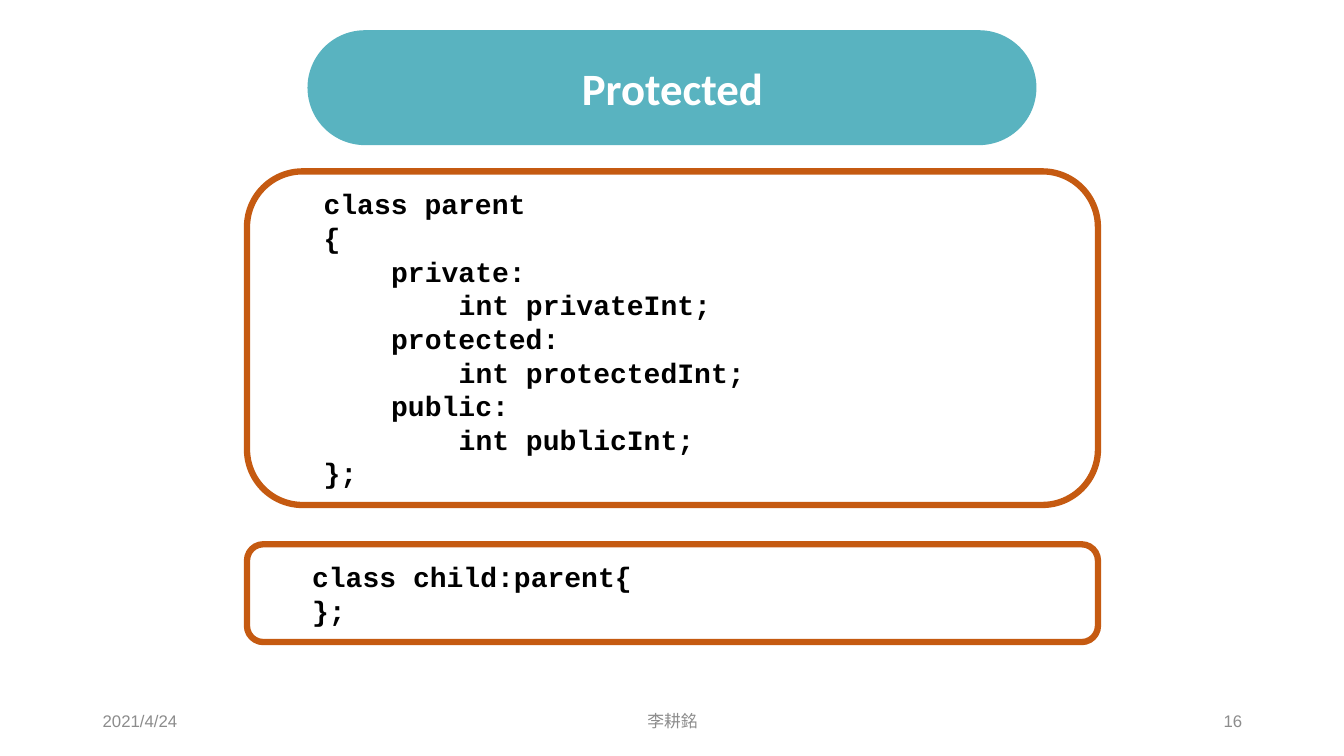
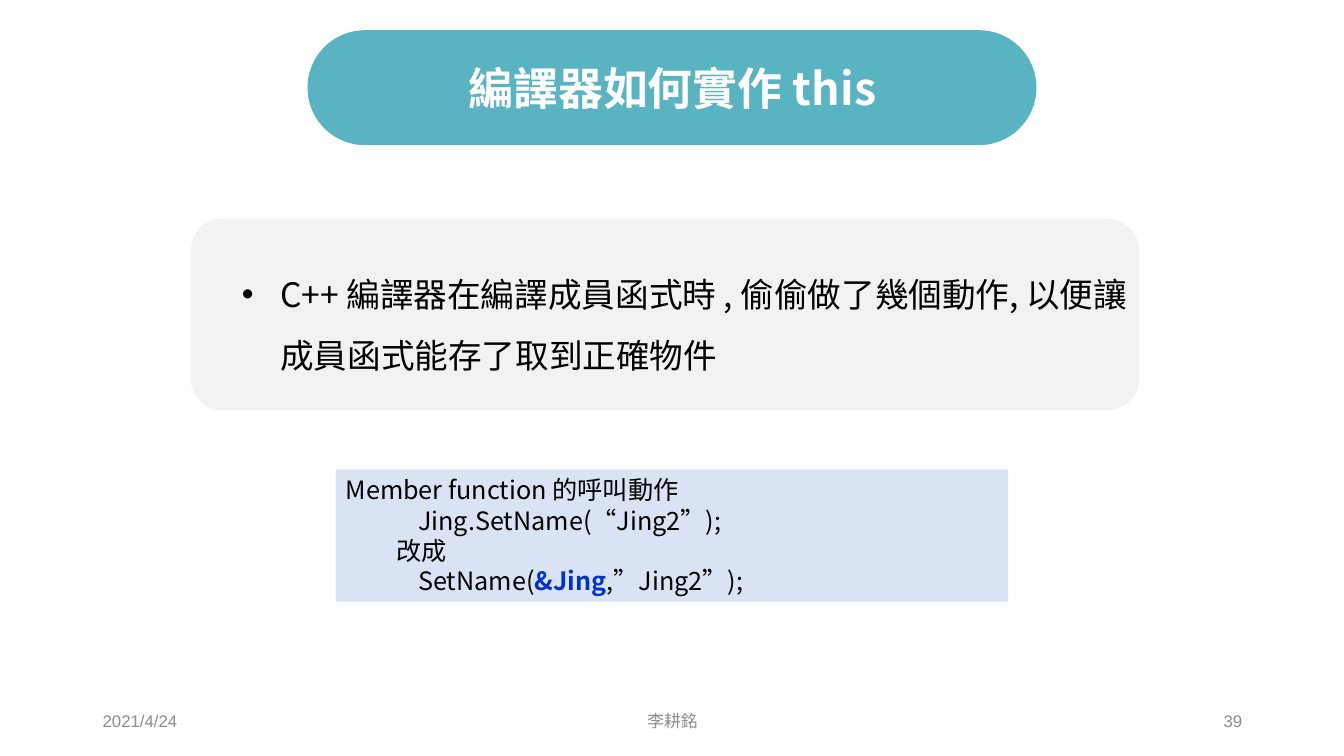
from dataclasses import dataclass

from lxml import etree
from pptx import Presentation
from pptx.dml.color import RGBColor
from pptx.enum.shapes import MSO_SHAPE
from pptx.enum.text import MSO_ANCHOR, MSO_AUTO_SIZE, PP_ALIGN
from pptx.oxml.ns import qn
from pptx.util import Inches, Pt

RECTANGLE, ROUNDED = MSO_SHAPE.RECTANGLE, MSO_SHAPE.ROUNDED_RECTANGLE
LEFT, CENTER, RIGHT = PP_ALIGN.LEFT, PP_ALIGN.CENTER, PP_ALIGN.RIGHT
TOP, MIDDLE = MSO_ANCHOR.TOP, MSO_ANCHOR.MIDDLE
TITLE_AND_BODY, TITLE_ONLY = 1, 5


@dataclass(frozen=True)
class Theme:
    band: str = "59B3C0"
    frame: str = "C55A11"
    panel: str = "F2F2F2"
    example: str = "DAE3F3"
    accent: str = "0033CC"
    white: str = "FFFFFF"
    black: str = "000000"
    footer: str = "8C8C8C"
    latin_font: str = "Calibri"
    cjk_font: str = "Noto Sans CJK SC"
    code_font: str = "Courier New"
    footer_font: str = "Arial"
    title_size: int = 32
    body_size: int = 24
    code_size: int = 20
    example_size: int = 18
    footer_size: int = 12
    frame_width: float = 4.5


THEME = Theme()
SLIDE_SIZE = (13.33, 7.5)
TITLE_BOX = (0.92, 0.3, 11.5, 1.14)
BAND_BOX = (3.05, 0.3, 7.23, 1.14)
FOOTER_TOP, FOOTER_HEIGHT = 6.95, 0.4
CODE_INDENT = 0.5
CODE_STEP = 0.67  # four monospaced characters
EXAMPLE_STEP = 0.22


def inches(box):
    return [Inches(value) for value in box]


def place(shape, box):
    shape.left, shape.top, shape.width, shape.height = inches(box)


def style_run(run, font, size, color, bold=False):
    run.font.name = font
    run.font.size = Pt(size)
    run.font.bold = bold
    run.font.color.rgb = RGBColor.from_string(color)
    east_asian = etree.SubElement(run.font._element, qn("a:ea"))
    east_asian.set("typeface", font)


def style_paragraph(paragraph, font, size, color, bold=False, align=LEFT):
    paragraph.alignment = align
    for run in paragraph.runs:
        style_run(run, font, size, color, bold)


def indent(paragraph, margin, first_line=0):
    properties = paragraph._p.get_or_add_pPr()
    properties.set("marL", str(Inches(margin)))
    properties.set("indent", str(Inches(first_line)))


def add_panel(slide, kind, box, fill, line=None):
    panel = slide.shapes.add_shape(kind, *inches(box))
    panel.shadow.inherit = False
    panel.fill.solid()
    panel.fill.fore_color.rgb = RGBColor.from_string(fill)
    if line:
        panel.line.color.rgb = RGBColor.from_string(line)
        panel.line.width = Pt(THEME.frame_width)
    else:
        panel.line.fill.background()
    return panel


def add_title(slide, text, font):
    # Pill-shaped band behind the title placeholder
    title = slide.shapes.title
    band = add_panel(slide, ROUNDED, BAND_BOX, THEME.band)
    band.adjustments[0] = 0.5
    title._element.addprevious(band._element)
    place(title, TITLE_BOX)
    frame = title.text_frame
    frame.text = text
    frame.vertical_anchor = MIDDLE
    frame.auto_size = MSO_AUTO_SIZE.NONE
    style_paragraph(frame.paragraphs[0], font, THEME.title_size,
                    THEME.white, True, CENTER)


def add_footer(slide, number):
    # Date, author and page number
    parts = ((0.92, 3, "2021/4/24", LEFT), (4.42, 4.5, "李耕銘", CENTER),
             (9.42, 3, str(number), RIGHT))
    for left, width, text, align in parts:
        box = (left, FOOTER_TOP, width, FOOTER_HEIGHT)
        frame = slide.shapes.add_textbox(*inches(box)).text_frame
        frame.word_wrap = True
        frame.vertical_anchor = MIDDLE
        frame.text = text
        style_paragraph(frame.paragraphs[0], THEME.footer_font,
                        THEME.footer_size, THEME.footer, align=align)


def add_slide(presentation, layout, title, title_font, number):
    slide = presentation.slides.add_slide(presentation.slide_layouts[layout])
    add_title(slide, title, title_font)
    add_footer(slide, number)
    return slide


def add_code_box(slide, box, lines):
    # Framed listing; each line is (depth, code)
    frame = add_panel(slide, ROUNDED, box, THEME.white, THEME.frame).text_frame
    frame.vertical_anchor = MIDDLE
    frame.text = "\n".join(code for _, code in lines)
    for paragraph, (depth, _) in zip(frame.paragraphs, lines):
        indent(paragraph, CODE_INDENT + depth * CODE_STEP)
        style_paragraph(paragraph, THEME.code_font, THEME.code_size,
                        THEME.black, True)


def add_bullet_panel(slide, box, text):
    # Grey panel behind the body placeholder
    panel = add_panel(slide, ROUNDED, box, THEME.panel)
    body = slide.placeholders[1]
    body._element.addprevious(panel._element)
    left, top, width, _ = box
    place(body, (left + 0.41, top + 0.3, width - 0.41, 3.89))
    frame = body.text_frame
    frame.text = text
    frame.auto_size = MSO_AUTO_SIZE.NONE
    paragraph = frame.paragraphs[0]
    paragraph.line_spacing = 1.5
    paragraph.space_before = Pt(10)
    indent(paragraph, 0.38, -0.38)
    style_paragraph(paragraph, THEME.cjk_font, THEME.body_size, THEME.black)


def add_example(slide, box, lines, highlight):
    # Call example; each line is (indent, text), one word is highlighted
    frame = add_panel(slide, RECTANGLE, box, THEME.example).text_frame
    frame.vertical_anchor = TOP
    for index, (margin, text) in enumerate(lines):
        paragraph = frame.paragraphs[0] if index == 0 else frame.add_paragraph()
        paragraph.alignment = LEFT
        indent(paragraph, margin)
        for part in filter(None, text.partition(highlight)):
            marked = part == highlight
            run = paragraph.add_run()
            run.text = part
            style_run(run, THEME.cjk_font, THEME.example_size,
                      THEME.accent if marked else THEME.black, marked)


def build_protected(presentation):
    slide = add_slide(presentation, TITLE_ONLY, "Protected",
                      THEME.latin_font, 16)
    add_code_box(slide, (2.45, 1.7, 8.44, 3.31), [
        (0, "class parent"),
        (0, "{"),
        (1, "private:"),
        (2, "int privateInt;"),
        (1, "protected:"),
        (2, "int protectedInt;"),
        (1, "public:"),
        (2, "int publicInt;"),
        (0, "};"),
    ])
    add_code_box(slide, (2.45, 5.4, 8.44, 0.97),
                 [(0, "class child:parent{"), (0, "};")])


def build_this(presentation):
    slide = add_slide(presentation, TITLE_AND_BODY, "編譯器如何實作 this",
                      THEME.cjk_font, 39)
    add_bullet_panel(
        slide, (1.89, 2.17, 9.41, 1.9),
        "C++ 編譯器在編譯成員函式時 , 偷偷做了幾個動作, "
        "以便讓成員函式能存了取到正確物件")
    call_indent = CODE_INDENT + EXAMPLE_STEP
    add_example(slide, (3.33, 4.66, 6.67, 1.31), [
        (0, "Member function 的呼叫動作"),
        (call_indent, "Jing.SetName(“Jing2”);"),
        (CODE_INDENT, "改成"),
        (call_indent, "SetName(&Jing,”Jing2”);"),
    ], "&Jing")


def main():
    presentation = Presentation()
    presentation.slide_width, presentation.slide_height = inches(SLIDE_SIZE)
    build_protected(presentation)
    build_this(presentation)
    presentation.save("out.pptx")


if __name__ == "__main__":
    main()
